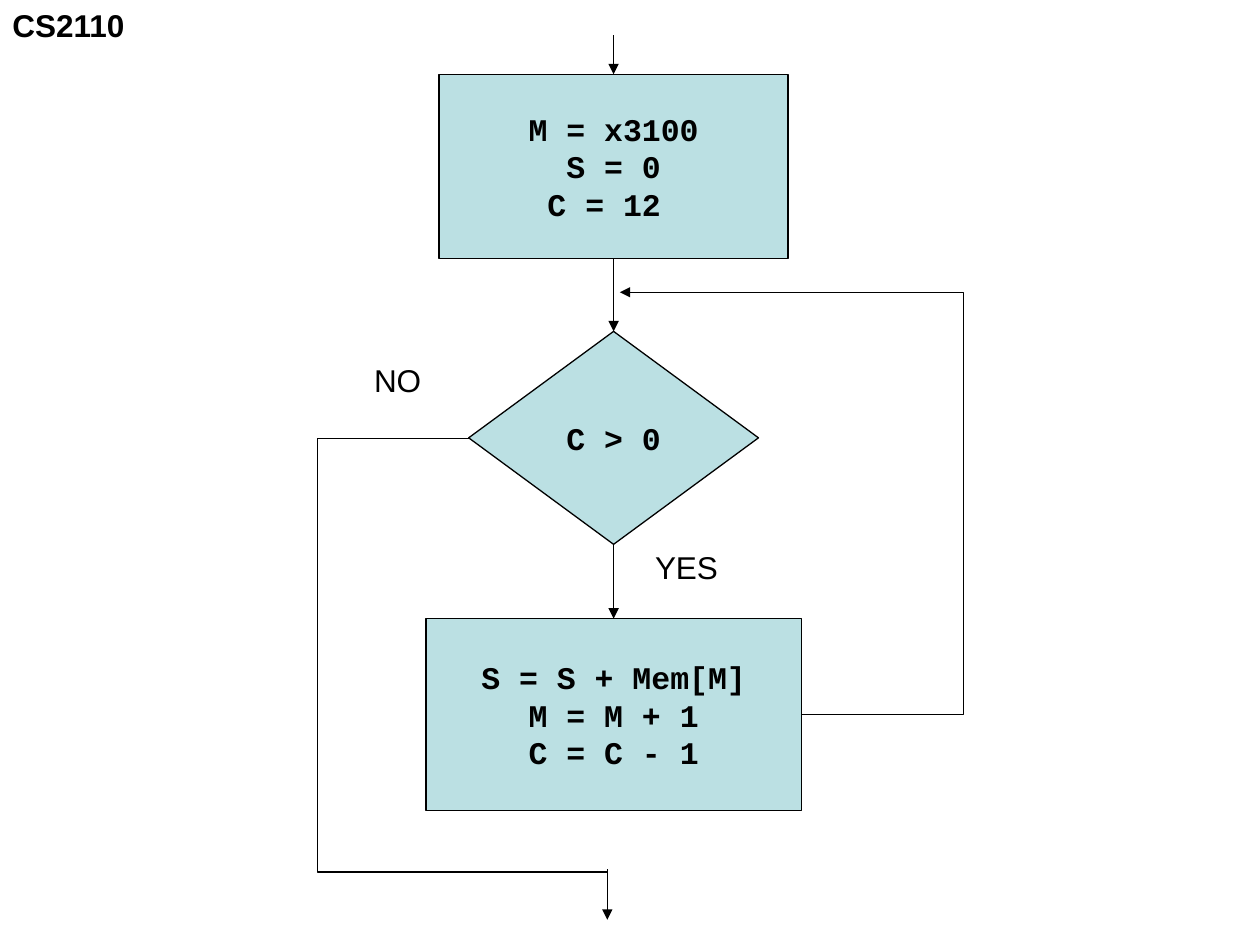
from dataclasses import dataclass

from lxml.etree import SubElement
from pptx import Presentation
from pptx.dml.color import RGBColor
from pptx.enum.shapes import MSO_CONNECTOR, MSO_SHAPE
from pptx.enum.text import MSO_ANCHOR, MSO_AUTO_SIZE, PP_ALIGN
from pptx.oxml.ns import qn
from pptx.util import Inches, Pt


@dataclass(frozen=True)
class Theme:
    ink: RGBColor = RGBColor(0x00, 0x00, 0x00)
    step_fill: RGBColor = RGBColor(0xBB, 0xE0, 0xE3)
    label_font: str = "Arial"
    code_font: str = "Courier New"
    text_size: Pt = Pt(18)
    line_width: Pt = Pt(0.75)


THEME = Theme()
FLOW_X = 4.87
EXIT_X = 4.82


def add_run(paragraph, text, font, bold):
    run = paragraph.add_run()
    run.text = text
    run.font.name = font
    run.font.size = THEME.text_size
    run.font.bold = bold
    run.font.color.rgb = THEME.ink


def style_line(line):
    line.color.rgb = THEME.ink
    line.width = THEME.line_width


def add_step(slide, kind, top, width, height, statements):
    left = FLOW_X - width / 2
    step = slide.shapes.add_shape(
        kind, Inches(left), Inches(top), Inches(width), Inches(height))
    step.shadow.inherit = False
    step.fill.solid()
    step.fill.fore_color.rgb = THEME.step_fill
    style_line(step.line)
    frame = step.text_frame
    frame.word_wrap = False
    frame.vertical_anchor = MSO_ANCHOR.MIDDLE
    for index, statement in enumerate(statements):
        paragraph = frame.add_paragraph() if index else frame.paragraphs[0]
        paragraph.alignment = PP_ALIGN.CENTER
        add_run(paragraph, statement, THEME.code_font, True)


def add_label(slide, left, top, width, text, bold=False):
    label = slide.shapes.add_textbox(
        Inches(left), Inches(top), Inches(width), Inches(0.4))
    frame = label.text_frame
    frame.word_wrap = False
    frame.auto_size = MSO_AUTO_SIZE.SHAPE_TO_FIT_TEXT
    add_run(frame.paragraphs[0], text, THEME.label_font, bold)


def add_flow(slide, start, end, kind=MSO_CONNECTOR.STRAIGHT, arrow=True):
    flow = slide.shapes.add_connector(
        kind, *(Inches(value) for value in (*start, *end)))
    style_line(flow.line)
    if arrow:
        SubElement(flow.line._get_or_add_ln(), qn("a:tailEnd"), type="triangle")
    SubElement(flow._element.spPr, qn("a:effectLst"))
    return flow


def add_bent_flow(slide, start, end, preset, bends, arrow):
    flow = add_flow(slide, start, end, MSO_CONNECTOR.ELBOW, arrow)
    geometry = flow._element.spPr.find(qn("a:prstGeom"))
    geometry.set("prst", preset)
    guides = geometry.find(qn("a:avLst"))
    for number, bend in enumerate(bends, start=1):
        SubElement(guides, qn("a:gd"), name=f"adj{number}",
                   fmla=f"val {round(bend * 100000)}")


def bend_at(position, start, end):
    return (position - start) / (end - start)


def main():
    deck = Presentation()
    deck.slide_width, deck.slide_height = Inches(10), Inches(7.5)
    slide = deck.slides.add_slide(deck.slide_layouts[6])

    add_label(slide, 0, 0, 1.1, "CS2110", bold=True)

    process, decision = MSO_SHAPE.FLOWCHART_PROCESS, MSO_SHAPE.FLOWCHART_DECISION
    add_step(slide, process, 0.59, 2.77, 1.46, ["M = x3100", "S = 0", "C = 12 "])
    add_step(slide, decision, 2.63, 2.3, 1.69, ["C > 0"])
    add_step(slide, process, 4.91, 2.98, 1.52,
             ["S = S + Mem[M]", "M = M + 1", "C = C - 1"])

    add_label(slide, 5.1, 4.3, 0.71, "YES")
    add_label(slide, 2.87, 2.82, 0.58, "NO")

    for x, top, bottom in [(FLOW_X, 0.28, 0.59), (FLOW_X, 2.05, 2.63),
                           (FLOW_X, 4.32, 4.91), (EXIT_X, 6.9, 7.3)]:
        add_flow(slide, (x, top), (x, bottom))

    add_bent_flow(slide, (6.36, 5.67), (4.92, 2.32), "bentConnector3",
                  [bend_at(7.65, 6.36, 4.92)], arrow=True)
    add_bent_flow(slide, (3.72, 3.48), (EXIT_X, 6.9), "bentConnector4",
                  [bend_at(2.52, 3.72, EXIT_X), bend_at(6.92, 3.48, 6.9)],
                  arrow=False)

    deck.save("out.pptx")


if __name__ == "__main__":
    main()
